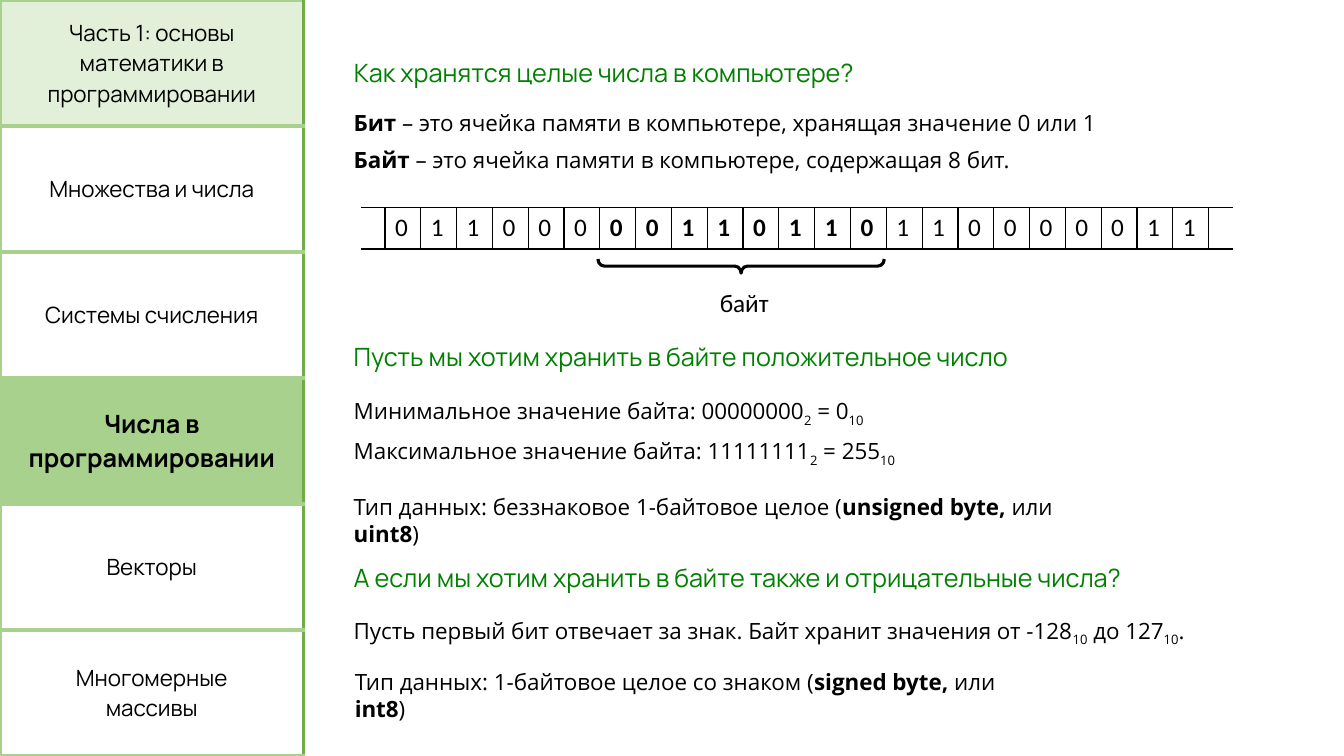
from dataclasses import dataclass

from lxml import etree
from pptx import Presentation
from pptx.dml.color import RGBColor
from pptx.enum.shapes import MSO_SHAPE
from pptx.enum.text import MSO_ANCHOR, MSO_AUTO_SIZE, PP_ALIGN
from pptx.oxml.ns import qn
from pptx.util import Inches, Pt

LEFT, CENTER = PP_ALIGN.LEFT, PP_ALIGN.CENTER
TOP, MIDDLE = MSO_ANCHOR.TOP, MSO_ANCHOR.MIDDLE
FIT_SHAPE = MSO_AUTO_SIZE.SHAPE_TO_FIT_TEXT
RIGHT_BRACE = MSO_SHAPE.RIGHT_BRACE


@dataclass(frozen=True)
class Theme:
    black: str = "000000"
    heading: str = "008000"
    pale: str = "E2F0D9"
    green: str = "A9D18E"
    edge: str = "70AD47"
    menu_font: str = "Manrope"
    body_font: str = "Open Sans"
    bit_font: str = "Calibri"
    large: int = 18
    normal: int = 16


theme = Theme()


def write(frame, paragraphs, font=theme.body_font, size=theme.normal,
          color=theme.black, bold=False, align=LEFT, anchor=TOP):
    frame.vertical_anchor = anchor
    for index, runs in enumerate(paragraphs):
        paragraph = frame.paragraphs[0] if index == 0 else frame.add_paragraph()
        paragraph.alignment = align
        for text, style in runs:
            run = paragraph.add_run()
            run.text = text
            run.font.name = font
            run.font.size = Pt(size)
            run.font.color.rgb = RGBColor.from_string(color)
            run.font.bold = bold or style == "bold"
            if style == "sub":
                run._r.get_or_add_rPr().set("baseline", "-25000")


def finish_cell(cell, borders, width, fill=None):
    properties = cell._tc.get_or_add_tcPr()
    for side in "LRTB":
        line = etree.SubElement(properties, qn(f"a:ln{side}"), w=str(Pt(width)))
        if side in borders:
            solid = etree.SubElement(line, qn("a:solidFill"))
            etree.SubElement(solid, qn("a:srgbClr"), val=borders[side])
        else:
            etree.SubElement(line, qn("a:noFill"))
    if fill:
        cell.fill.solid()
        cell.fill.fore_color.rgb = RGBColor.from_string(fill)
    else:
        cell.fill.background()


presentation = Presentation()
presentation.slide_width = Inches(13.33)
presentation.slide_height = Inches(7.5)
slide = presentation.slides.add_slide(presentation.slide_layouts[5])

sections = [
    (["Часть 1: основы математики в программировании"], theme.pale),
    (["Множества и числа"], None),
    (["Системы счисления"], None),
    (["Числа в программировании"], theme.green),
    (["Векторы"], None),
    (["Многомерные", "массивы"], None),
]
menu = slide.shapes.add_table(
    len(sections), 1, 0, 0, Inches(3.01), Inches(7.5)).table
menu.first_row = menu.horz_banding = False
menu_borders = {"L": theme.green, "R": theme.edge, "T": theme.green, "B": theme.green}
for row, (lines, fill) in enumerate(sections):
    cell = menu.cell(row, 0)
    current = fill == theme.green
    write(cell.text_frame, [[(line, None)] for line in lines],
          font=theme.menu_font, size=theme.large if current else theme.normal,
          bold=current, align=CENTER)
    cell.vertical_anchor = MIDDLE
    finish_cell(cell, menu_borders, 3, fill)

heading = dict(font=theme.menu_font, size=theme.large, color=theme.heading)
label = dict(font=theme.bit_font, size=theme.large)
question = slide.shapes.title
question.left, question.top = Inches(3.41), Inches(0.52)
question.width, question.height = Inches(5.31), Inches(0.4)
question.text_frame.word_wrap = False
question.text_frame.auto_size = FIT_SHAPE
write(question.text_frame, [[("Как хранятся целые числа в компьютере?", None)]], **heading)

statements = [
    (3.41, 1.03, 10.74, 0.37, True, {}, [
        ("Бит", "bold"),
        (" – это ячейка памяти в компьютере, хранящая значение 0 или 1", None)]),
    (3.41, 1.4, 10.74, 0.37, True, {}, [
        ("Байт ", "bold"),
        ("– это ячейка памяти в компьютере, содержащая 8 бит.", None)]),
    (7.04, 2.8, 0.69, 0.4, False, label, [("байт", None)]),
    (3.41, 3.34, 6.93, 0.4, False, heading, [
        ("Пусть мы хотим хранить в байте положительное число", None)]),
    (3.41, 3.89, 5.35, 0.37, False, {}, [
        ("Минимальное значение байта: 00000000", None), ("2", "sub"),
        (" = 0", None), ("10", "sub")]),
    (3.41, 4.29, 5.67, 0.37, False, {}, [
        ("Максимальное значение байта: 11111111", None), ("2", "sub"),
        (" = 255", None), ("10", "sub")]),
    (3.41, 4.84, 7.79, 0.37, True, {}, [
        ("Тип данных: беззнаковое 1-байтовое целое (", None),
        ("unsigned byte, ", "bold"), ("или ", None), ("uint8", "bold"), (")", None)]),
    (3.41, 5.53, 8.13, 0.4, False, heading, [
        ("А если мы хотим хранить в байте также и отрицательные числа?", None)]),
    (3.41, 6.07, 8.59, 0.37, False, {}, [
        ("Пусть первый бит отвечает за знак. Байт хранит значения от -128", None),
        ("10", "sub"), (" до 127", None), ("10", "sub"), (".", None)]),
    (3.42, 6.58, 7.08, 0.37, True, {}, [
        ("Тип данных: 1-байтовое целое со знаком (", None),
        ("signed byte, ", "bold"), ("или ", None), ("int8", "bold"), (")", None)]),
]
for left, top, width, height, wrap, style, runs in statements:
    statement = slide.shapes.add_textbox(
        Inches(left), Inches(top), Inches(width), Inches(height))
    statement.text_frame.word_wrap = wrap
    statement.text_frame.auto_size = FIT_SHAPE
    write(statement.text_frame, [runs], **style)

bits = "01100000110110110000011"
byte_start, byte_length = 6, 8
memory_width, end_width = 9.09, 0.23
bit_width = (memory_width - 4 * end_width) / len(bits)
column_count = len(bits) + 4
memory = slide.shapes.add_table(
    1, column_count, Inches(3.34), Inches(2.06),
    Inches(memory_width), Inches(0.41)).table
memory.first_row = memory.horz_banding = False
open_sides = {0: "", 1: "RTB", column_count - 2: "LTB", column_count - 1: ""}
for column in range(column_count):
    cell = memory.cell(0, column)
    at_end = column in open_sides
    memory.columns[column].width = Inches(end_width if at_end else bit_width)
    if not at_end:
        position = column - 2
        in_byte = byte_start <= position < byte_start + byte_length
        write(cell.text_frame, [[(bits[position], None)]], bold=in_byte, **label)
    sides = open_sides.get(column, "LRTB")
    finish_cell(cell, dict.fromkeys(sides, theme.black), 1)

byte_brace = slide.shapes.add_shape(
    RIGHT_BRACE, Inches(7.28), Inches(1.22), Inches(0.14), Inches(2.84))
byte_brace.rotation = 90
byte_brace.adjustments[0] = 0.45
byte_brace.adjustments[1] = 0.5
byte_brace.shadow.inherit = False
byte_brace.fill.background()
byte_brace.line.color.rgb = RGBColor.from_string(theme.black)
byte_brace.line.width = Pt(2.25)

presentation.save("out.pptx")
